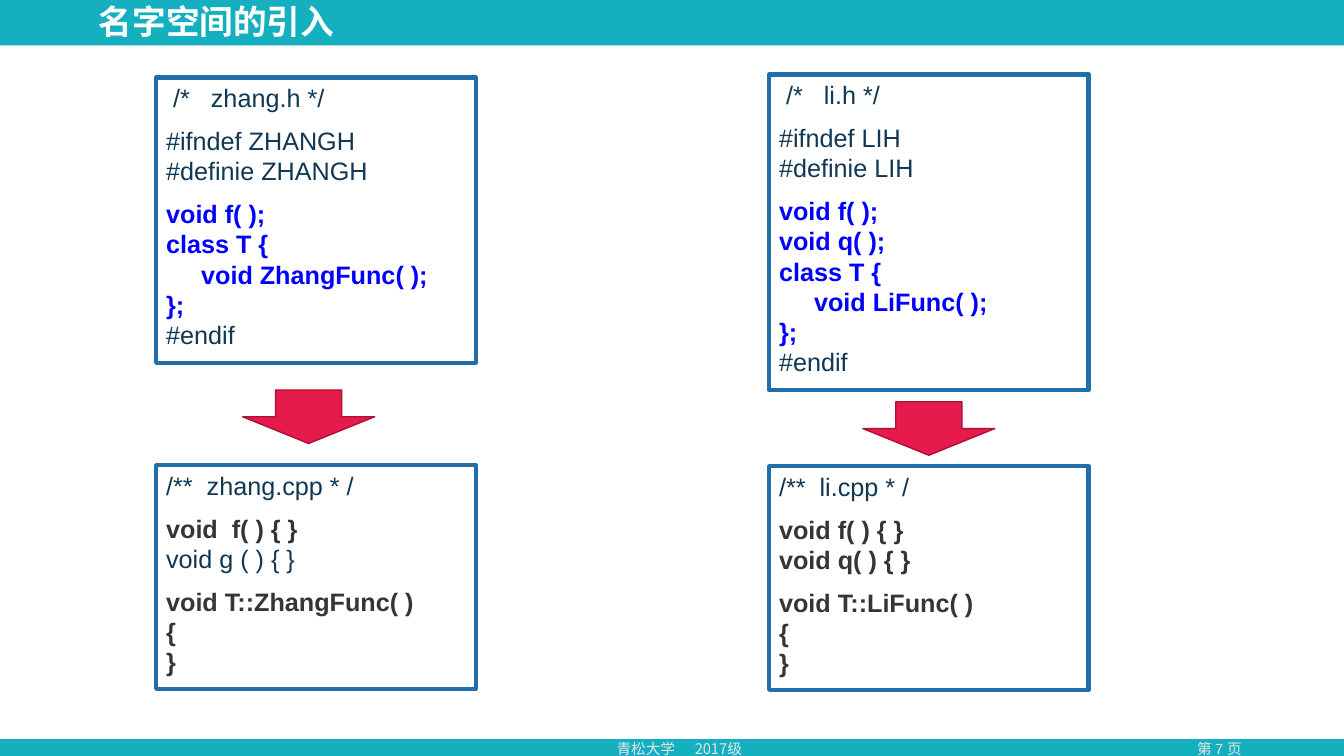
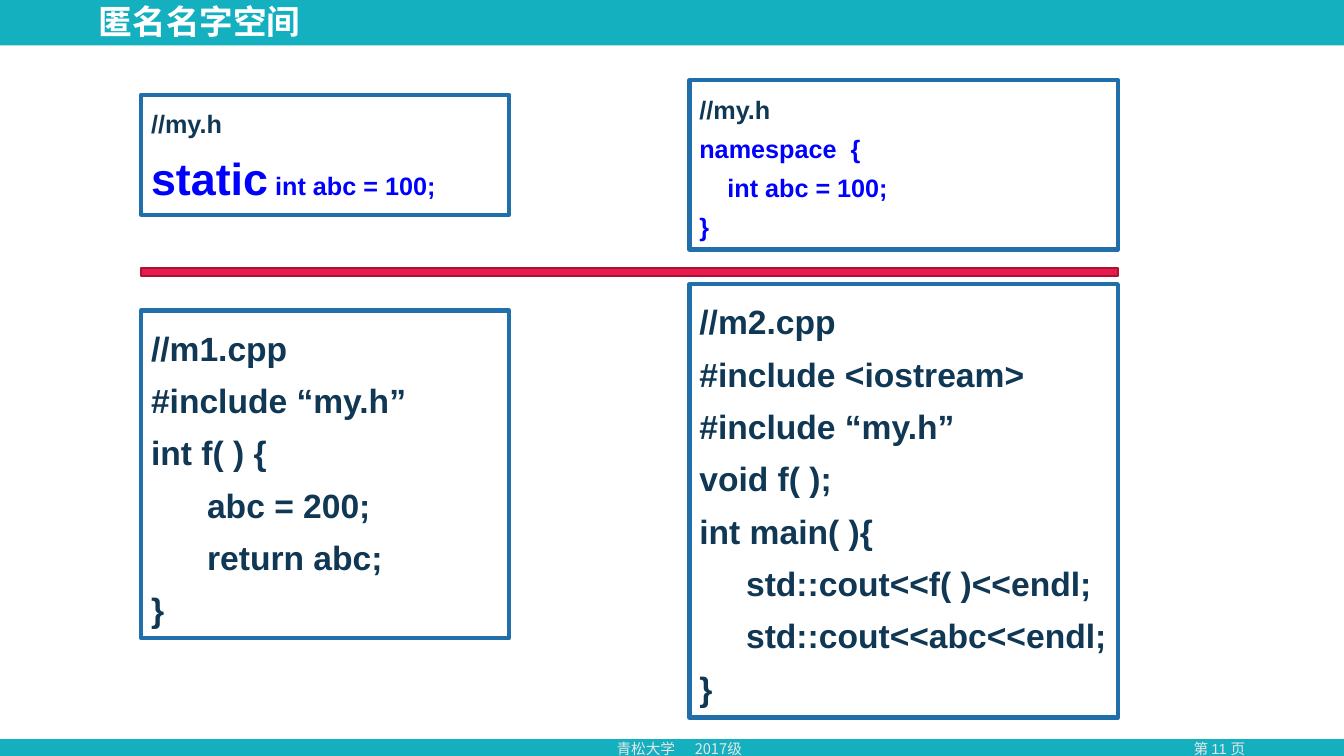
from lxml import etree
from pptx import Presentation
from pptx.dml.color import RGBColor
from pptx.enum.shapes import MSO_SHAPE
from pptx.enum.text import MSO_ANCHOR, MSO_AUTO_SIZE, PP_ALIGN
from pptx.oxml.ns import qn
from pptx.util import Pt

RECTANGLE, DOWN_ARROW = MSO_SHAPE.RECTANGLE, MSO_SHAPE.DOWN_ARROW
TOP, MIDDLE = MSO_ANCHOR.TOP, MSO_ANCHOR.MIDDLE
LEFT, CENTER = PP_ALIGN.LEFT, PP_ALIGN.CENTER
NO_FIT = MSO_AUTO_SIZE.NONE

TEAL = RGBColor(0x14, 0xB0, 0xC0)
WHITE = RGBColor(0xFF, 0xFF, 0xFF)
PALE = RGBColor(0xE7, 0xE6, 0xE6)
NAVY = RGBColor(0x10, 0x37, 0x54)
BLUE = RGBColor(0x00, 0x00, 0xFF)
CHARCOAL = RGBColor(0x34, 0x35, 0x37)
FRAME = RGBColor(0x20, 0x6F, 0xAA)
RED = RGBColor(0xE6, 0x1A, 0x4B)
DARK_RED = RGBColor(0xAA, 0x13, 0x37)

LATIN, CHINESE = "Arial", "Noto Sans CJK SC"


def style(size, color, bold=False, name=LATIN):
    return {"size": Pt(size), "bold": bold, "name": name, "color": color}


TITLE = style(24, WHITE, True, CHINESE)
FOOTER = style(10.5, PALE, name=CHINESE)
PAGE_NUMBER = style(10.5, PALE)
PLAIN = style(18, NAVY)
STRONG = style(18, NAVY, True)
KEY = style(18, BLUE, True)
KEY_BIG = style(32, BLUE, True)
BODY = style(18, CHARCOAL, True)
LARGE = style(24, NAVY, True)

TIGHT = {18: 21.6}
LOOSE = {18: 28, 24: 37.4, 32: 47}
GROUP_GAP = 9
SPACE_WIDTH = 0.278

SLIDE_WIDTH, SLIDE_HEIGHT = 960, 540
PANEL_TOP, PANEL_HEIGHT = 32.4, 495.4
FOOTER_TOP, FOOTER_HEIGHT = 524.9, 20.2
FOOTERS = [("青松大学", 433.4, 70), ("2017级", 489.2, 70)]
ARROW_SIZE = (94.3, 38.2)


def lines(text_style, *texts):
    return [[(text, text_style)] for text in texts]


SLIDES = [
    {
        "title": "名字空间的引入",
        "number": 7,
        "pitch": TIGHT,
        "boxes": [
            ((111.6, 55.4, 228.2, 203.8), [
                lines(PLAIN, " /*   zhang.h */"),
                lines(PLAIN, "#ifndef ZHANGH", "#definie ZHANGH"),
                lines(KEY, "void f( );", "class T {", "     void ZhangFunc( );", "};")
                + lines(PLAIN, "#endif"),
            ]),
            ((549.4, 53.3, 228.2, 225.4), [
                lines(PLAIN, " /*   li.h */"),
                lines(PLAIN, "#ifndef LIH", "#definie LIH"),
                lines(KEY, "void f( );", "void q( );", "class T {",
                      "     void LiFunc( );", "};")
                + lines(PLAIN, "#endif"),
            ]),
            ((111.6, 332.3, 228.2, 159.8), [
                lines(PLAIN, "/**  zhang.cpp * /"),
                lines(BODY, "void  f( ) { }") + lines(PLAIN, "void g ( ) { }"),
                lines(BODY, "void T::ZhangFunc( )", "{", "}"),
            ]),
            ((549.4, 333, 228.2, 159.8), [
                lines(PLAIN, "/**  li.cpp * /"),
                lines(BODY, "void f( ) { }", "void q( ) { }"),
                lines(BODY, "void T::LiFunc( )", "{", "}"),
            ]),
        ],
        "marks": [
            (DOWN_ARROW, (173.3, 278.6, *ARROW_SIZE)),
            (DOWN_ARROW, (616.3, 287, *ARROW_SIZE)),
        ],
    },
    {
        "title": "匿名名字空间",
        "number": 11,
        "pitch": LOOSE,
        "boxes": [
            ((100.8, 67.7, 262.8, 85.7), [
                lines(STRONG, "//my.h")
                + [[("static", KEY_BIG), (" int abc = 100;", KEY)]],
            ]),
            ((492.5, 57.2, 306, 121), [
                lines(STRONG, "//my.h")
                + lines(KEY, "namespace  {", "    int abc = 100;", "}"),
            ]),
            ((100.8, 221.8, 262.8, 234), [
                lines(LARGE, "//m1.cpp", "#include “my.h”", "int f( ) {",
                      "      abc = 200;", "      return abc;", "}"),
            ]),
            ((492.5, 203, 306, 309.6), [
                lines(LARGE, "//m2.cpp", "#include <iostream>", "#include “my.h”",
                      "void f( );", "int main( ){", "     std::cout<<f( )<<endl;",
                      "     std::cout<<abc<<endl;", "}"),
            ]),
        ],
        "marks": [(RECTANGLE, (100.8, 191.3, 697.7, 5.8))],
    },
]


def add_span(para, text, text_style):
    span = para.add_run()
    span.text = text
    for key, value in text_style.items():
        if key == "color":
            span.font.color.rgb = value
        else:
            setattr(span.font, key, value)
    east_asian = etree.SubElement(span.font._element, qn("a:ea"))
    east_asian.set("typeface", CHINESE)


def set_frame(frame, anchor):
    values = {"word_wrap": True, "auto_size": NO_FIT, "vertical_anchor": anchor,
              "margin_left": Pt(7.2), "margin_right": Pt(0),
              "margin_top": Pt(3.6), "margin_bottom": Pt(3.6)}
    for key, value in values.items():
        setattr(frame, key, value)


def add_shape(page, kind, place, fill=None, line=None, line_width=1):
    shape = page.shapes.add_shape(kind, *map(Pt, place))
    shape.shadow.inherit = False
    if fill is None:
        shape.fill.background()
    else:
        shape.fill.solid()
        shape.fill.fore_color.rgb = fill
    if line is None:
        shape.line.fill.background()
    else:
        shape.line.color.rgb = line
        shape.line.width = Pt(line_width)
    return shape


def add_label(page, text, place, text_style, align):
    box = page.shapes.add_textbox(*map(Pt, place))
    set_frame(box.text_frame, MIDDLE)
    para = box.text_frame.paragraphs[0]
    para.alignment = align
    add_span(para, text, text_style)


def add_code_box(page, place, groups, pitch):
    frame = add_shape(page, RECTANGLE, place, line=FRAME, line_width=3).text_frame
    set_frame(frame, TOP)
    para = frame.paragraphs[0]
    for group_index, group in enumerate(groups):
        for line_index, spans in enumerate(group):
            if group_index or line_index:
                para = frame.add_paragraph()
            para.alignment = LEFT
            size = max(text_style["size"].pt for _, text_style in spans)
            para.line_spacing = Pt(pitch[size])
            para.space_before = Pt(GROUP_GAP if group_index and not line_index else 0)
            first = spans[0][0]
            depth = len(first) - len(first.lstrip())
            properties = para._p.get_or_add_pPr()
            properties.set("marL", str(Pt(depth * size * SPACE_WIDTH)))
            properties.set("indent", "0")
            for index, (text, text_style) in enumerate(spans):
                add_span(para, text if index else text.lstrip(), text_style)


def set_title(page, text):
    title = page.shapes.title
    place = {"left": 63.4, "top": 2.9, "width": 553, "height": 28.1}
    for key, value in place.items():
        setattr(title, key, Pt(value))
    set_frame(title.text_frame, MIDDLE)
    para = title.text_frame.paragraphs[0]
    para.alignment = LEFT
    para.line_spacing = 0.9
    add_span(para, text, TITLE)


def add_page(deck, content):
    page = deck.slides.add_slide(deck.slide_layouts[5])
    add_shape(page, RECTANGLE, (0, PANEL_TOP, SLIDE_WIDTH, PANEL_HEIGHT), WHITE)
    set_title(page, content["title"])
    for text, left, width in FOOTERS:
        add_label(page, text, (left, FOOTER_TOP, width, FOOTER_HEIGHT), FOOTER, LEFT)
    add_label(page, f"第 {content['number']} 页",
              (811.4, FOOTER_TOP, 112.3, FOOTER_HEIGHT), PAGE_NUMBER, CENTER)
    for place, groups in content["boxes"]:
        add_code_box(page, place, groups, content["pitch"])
    for kind, place in content["marks"]:
        add_shape(page, kind, place, RED, DARK_RED)


def main():
    deck = Presentation()
    deck.slide_width, deck.slide_height = Pt(SLIDE_WIDTH), Pt(SLIDE_HEIGHT)
    background = deck.slide_master.background.fill
    background.solid()
    background.fore_color.rgb = TEAL
    for content in SLIDES:
        add_page(deck, content)
    deck.save("out.pptx")


if __name__ == "__main__":
    main()
